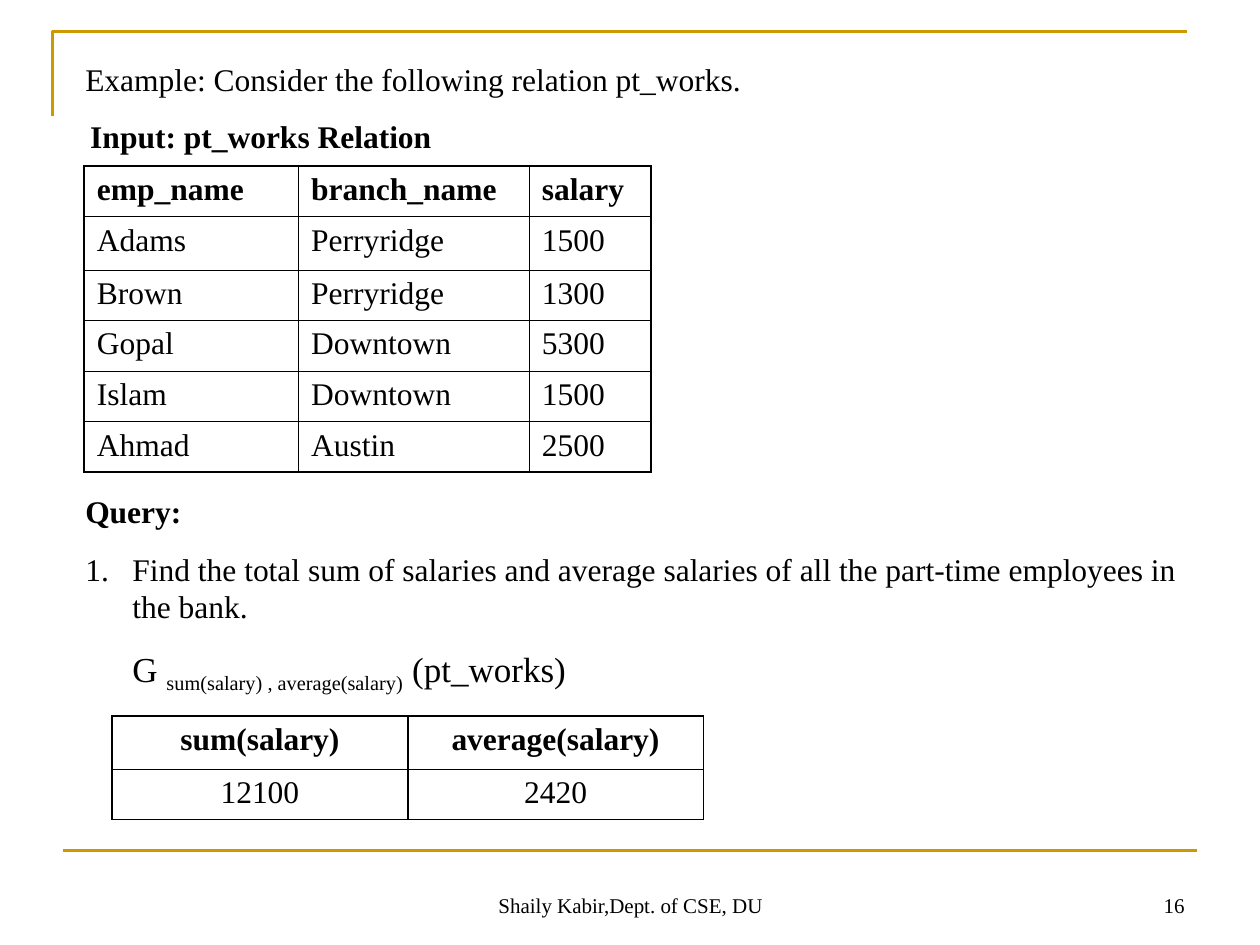
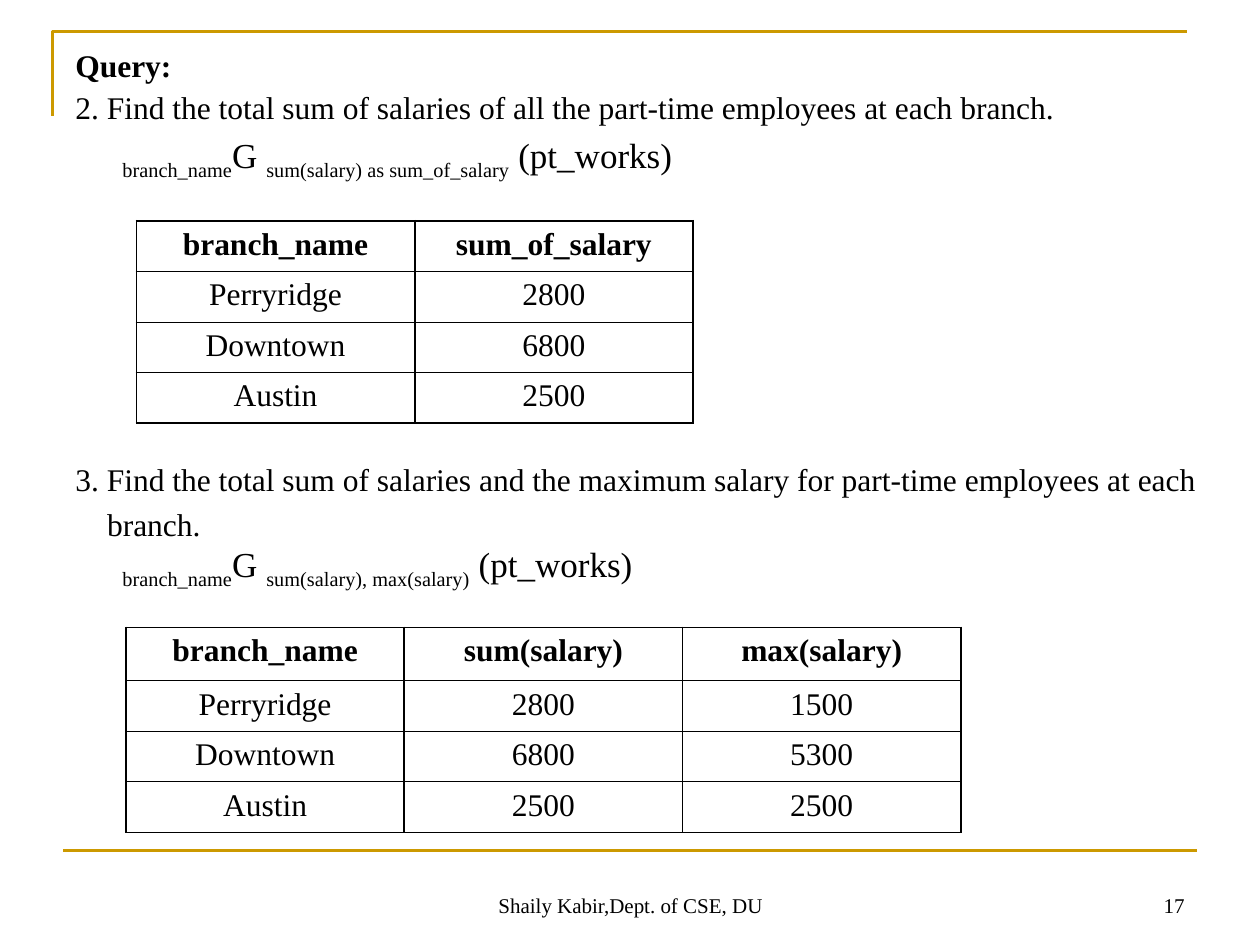
from lxml import etree
from pptx import Presentation
from pptx.dml.color import RGBColor
from pptx.enum.shapes import MSO_CONNECTOR
from pptx.enum.text import MSO_ANCHOR, PP_ALIGN
from pptx.oxml.ns import qn
from pptx.util import Cm, Pt

LEFT, CENTER, RIGHT = PP_ALIGN.LEFT, PP_ALIGN.CENTER, PP_ALIGN.RIGHT
TOP, BOTTOM = MSO_ANCHOR.TOP, MSO_ANCHOR.BOTTOM
STRAIGHT = MSO_CONNECTOR.STRAIGHT

COLORS = {"text": "000000", "rule": "CC9900"}
FONT = "Times New Roman"
THICK, THIN = 1.08, 0.45
ROW_HEIGHT, TALL_ROW_HEIGHT = 1.02, 1.07
INDENT = 0.95

# Text styles: font values, plus a baseline shift in percent for subscripts
STYLES = {
    "body": {"size": Pt(18), "bold": False},
    "strong": {"size": Pt(18), "bold": True},
    "formula": {"size": Pt(20), "bold": False},
    "subscript": {"size": Pt(20), "bold": False, "baseline": -25},
    "footer": {"size": Pt(12), "bold": False},
}

# Paragraph formats
SPACED = {"space_before": Pt(11.2)}
FORMULA_SPACED = {"space_before": Pt(12.5), "indent": INDENT}
TIGHT = {"space_before": Pt(11.2), "line_spacing": 0.6}
TIGHT_FORMULA = {**FORMULA_SPACED, "line_spacing": 0.6}
NUMBERED = {**SPACED, "indent": INDENT, "hanging": INDENT, "numbered": True}


def formula(function, grouping=None):
    """Runs of an aggregate expression on pt_works."""
    runs = [("G ", "formula"), (function, "subscript"), (" (pt_works)", "formula")]
    return [(grouping, "subscript")] + runs if grouping else runs


# Content: text boxes are (left, top, width, height), wrap, paragraphs
FOOTER = "Shaily Kabir,Dept. of CSE, DU"
SLIDES = [
    {
        "number": "16",
        "texts": [
            ((1.47, 1.09, 22.86, 1.02), True, [
                ([("Example: Consider the following relation pt_works.", "body")], SPACED)]),
            ((1.57, 2.24, 7.39, 1.02), False, [
                ([("Input: pt_works Relation", "strong")], {})]),
            ((1.47, 9.8, 22.86, 5.64), True, [
                ([("Query:", "strong")], SPACED),
                ([("Find the total sum of salaries and average salaries of all the "
                   "part-time employees in the bank.", "body")], NUMBERED),
                (formula("sum(salary) , average(salary)"), FORMULA_SPACED)]),
        ],
        "tables": [
            {"at": (1.7, 3.35), "columns": (4.32, 4.65, 2.46), "tall_row": 1,
             "align": LEFT, "divider": THIN,
             "rows": [("emp_name", "branch_name", "salary"),
                      ("Adams", "Perryridge", "1500"),
                      ("Brown", "Perryridge", "1300"),
                      ("Gopal", "Downtown", "5300"),
                      ("Islam", "Downtown", "1500"),
                      ("Ahmad", "Austin", "2500")]},
            {"at": (2.26, 14.43), "columns": (5.96, 5.96), "tall_row": 0,
             "align": CENTER, "divider": THICK,
             "rows": [("sum(salary)", "average(salary)"), ("12100", "2420")]},
        ],
    },
    {
        "number": "17",
        "texts": [
            ((1.27, 1.07, 22.86, 4.5), True, [
                ([("Query:", "strong")], TIGHT),
                ([("2. Find the total sum of salaries of all the part-time "
                   "employees at each branch.", "body")], TIGHT),
                (formula("sum(salary) as sum_of_salary", "branch_name"), TIGHT_FORMULA)]),
            ((1.27, 9.14, 23.5, 3.91), True, [
                ([("3. Find the total sum of salaries and the maximum salary for "
                   "part-time employees at each", "body")], {}),
                ([("branch.", "body")], {"indent": 0.64, "line_spacing": 1.2}),
                (formula("sum(salary), max(salary)", "branch_name"), {"indent": INDENT})]),
        ],
        "tables": [
            {"at": (2.75, 4.45), "columns": (5.61,) * 2, "tall_row": None,
             "align": CENTER, "divider": THICK,
             "rows": [("branch_name", "sum_of_salary"), ("Perryridge", "2800"),
                      ("Downtown", "6800"), ("Austin", "2500")]},
            {"at": (2.54, 12.65), "columns": (5.61,) * 3, "tall_row": 0,
             "align": CENTER, "divider": THICK,
             "rows": [("branch_name", "sum(salary)", "max(salary)"),
                      ("Perryridge", "2800", "1500"),
                      ("Downtown", "6800", "5300"),
                      ("Austin", "2500", "2500")]},
        ],
    },
]


def color(name):
    return RGBColor.from_string(COLORS[name])


def add_run(paragraph, text, style):
    run = paragraph.add_run()
    run.text = text
    run.font.name = FONT
    run.font.color.rgb = color("text")
    for name, value in STYLES[style].items():
        if name == "baseline":
            run._r.get_or_add_rPr().set("baseline", str(value * 1000))
        else:
            setattr(run.font, name, value)


def format_paragraph(paragraph, values):
    properties = paragraph._p.get_or_add_pPr()
    for name, value in values.items():
        if name == "indent":
            properties.set("marL", str(Cm(value)))
        elif name == "hanging":
            properties.set("indent", str(-Cm(value)))
        elif name == "numbered":
            etree.SubElement(properties, qn("a:buAutoNum"), type="arabicPeriod")
        else:
            setattr(paragraph, name, value)


def add_text(slide, box, paragraphs, wrap=True, anchor=TOP):
    frame = slide.shapes.add_textbox(*map(Cm, box)).text_frame
    frame.word_wrap = wrap
    frame.vertical_anchor = anchor
    for index, (runs, values) in enumerate(paragraphs):
        paragraph = frame.add_paragraph() if index else frame.paragraphs[0]
        format_paragraph(paragraph, values)
        for text, style in runs:
            add_run(paragraph, text, style)


def set_borders(cell, widths):
    properties = cell._tc.get_or_add_tcPr()
    for position, (side, width) in enumerate(widths.items()):
        line = etree.Element(qn(f"a:ln{side}"), w=str(Pt(width)))
        fill = etree.SubElement(line, qn("a:solidFill"))
        etree.SubElement(fill, qn("a:srgbClr"), val=COLORS["text"])
        properties.insert(position, line)


def add_relation(slide, relation):
    rows, columns = relation["rows"], relation["columns"]
    heights = [TALL_ROW_HEIGHT if index == relation["tall_row"] else ROW_HEIGHT
               for index in range(len(rows))]
    table = slide.shapes.add_table(
        len(rows), len(columns), *map(Cm, relation["at"]),
        Cm(sum(columns)), Cm(sum(heights))).table
    table.first_row = table.horz_banding = False
    for column, width in zip(table.columns, columns):
        column.width = Cm(width)
    last_row, last_column = len(rows) - 1, len(columns) - 1
    for row_index, values in enumerate(rows):
        table.rows[row_index].height = Cm(heights[row_index])
        for column_index, text in enumerate(values):
            cell = table.cell(row_index, column_index)
            cell.fill.background()
            paragraph = cell.text_frame.paragraphs[0]
            format_paragraph(paragraph, {"alignment": relation["align"],
                                         "space_before": Pt(4.5)})
            add_run(paragraph, text, "body" if row_index else "strong")
            divider = relation["divider"]
            set_borders(cell, {
                "L": divider if column_index else THICK,
                "R": divider if column_index < last_column else THICK,
                "T": THIN if row_index else THICK,
                "B": THIN if row_index < last_row else THICK})


def add_frame(slide, number):
    """Gold rules and footer shared by all slides."""
    builder = slide.shapes.build_freeform(Cm(1.06), Cm(2.33))
    builder.add_line_segments([(Cm(1.06), Cm(0.64)), (Cm(23.92), Cm(0.64))], close=False)
    corner = builder.convert_to_shape()
    corner.shadow.inherit = False
    corner.fill.background()
    rule = slide.shapes.add_connector(STRAIGHT, Cm(1.27), Cm(17.15), Cm(24.13), Cm(17.15))
    etree.SubElement(rule._element.spPr, qn("a:effectLst"))
    for shape in (corner, rule):
        shape.line.color.rgb = color("rule")
        shape.line.width = Pt(1.5)
    # a:effectLst must follow the line element
    rule._element.spPr.append(rule._element.spPr.find(qn("a:effectLst")))
    for left, width, text, alignment in ((8.69, 8.05, FOOTER, CENTER),
                                         (18.21, 5.92, number, RIGHT)):
        add_text(slide, (left, 17.35, width, 1.27),
                 [([(text, "footer")], {"alignment": alignment})], anchor=BOTTOM)


# Build the slides
presentation = Presentation()
presentation.slide_width, presentation.slide_height = Cm(25.4), Cm(19.05)
for content in SLIDES:
    slide = presentation.slides.add_slide(presentation.slide_layouts[6])
    add_frame(slide, content["number"])
    for box, wrap, paragraphs in content["texts"]:
        add_text(slide, box, paragraphs, wrap)
    for relation in content["tables"]:
        add_relation(slide, relation)
presentation.save("out.pptx")
